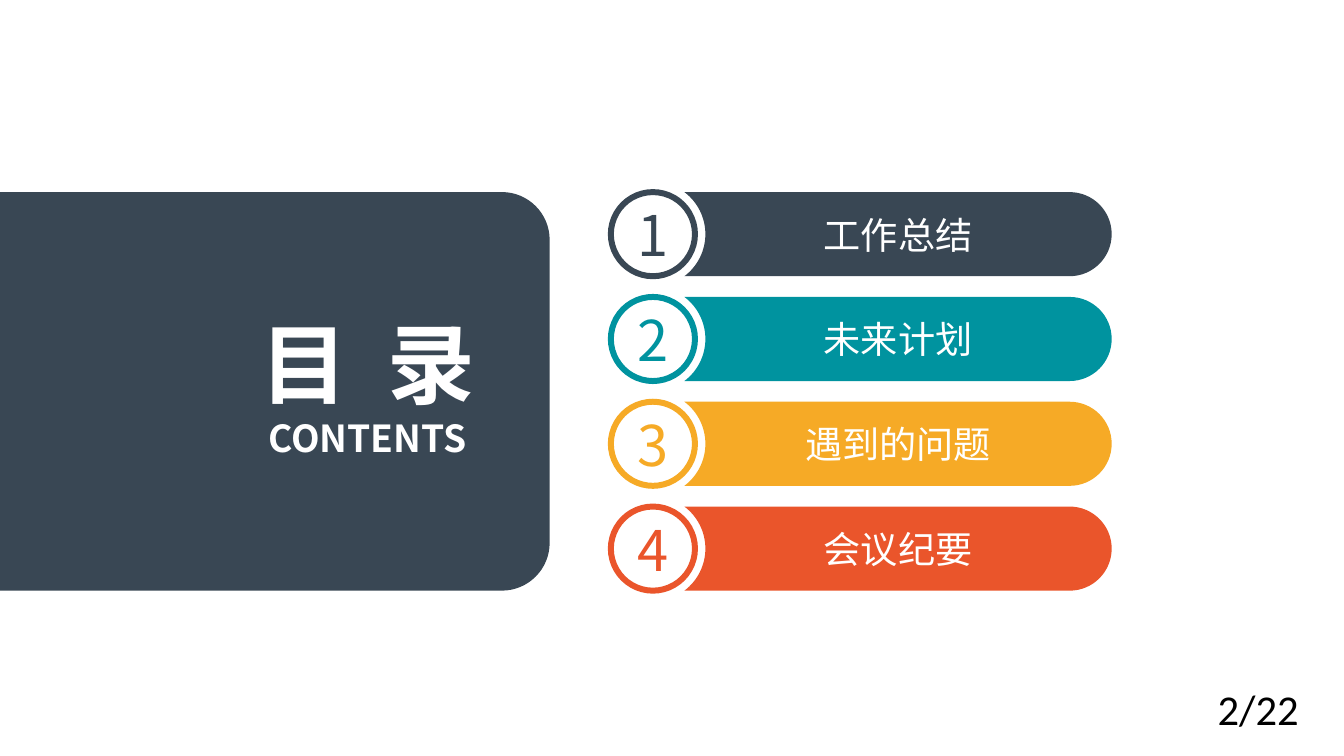
import math

from lxml import etree
from pptx import Presentation
from pptx.dml.color import RGBColor
from pptx.enum.shapes import MSO_SHAPE
from pptx.enum.text import MSO_ANCHOR, PP_ALIGN
from pptx.oxml.ns import qn
from pptx.util import Inches, Pt

OVAL = MSO_SHAPE.OVAL
TOP, MIDDLE = MSO_ANCHOR.TOP, MSO_ANCHOR.MIDDLE
LEFT, CENTER = PP_ALIGN.LEFT, PP_ALIGN.CENTER

WHITE = RGBColor(0xFF, 0xFF, 0xFF)
BLACK = RGBColor(0x00, 0x00, 0x00)
SLATE = RGBColor(0x39, 0x47, 0x54)
TEAL = RGBColor(0x00, 0x93, 0x9F)
AMBER = RGBColor(0xF6, 0xAA, 0x26)
ORANGE = RGBColor(0xEA, 0x55, 0x2B)

CHINESE_FONT = "Noto Sans CJK SC"
CONTENTS = [
    ("工作总结", SLATE),
    ("未来计划", TEAL),
    ("遇到的问题", AMBER),
    ("会议纪要", ORANGE),
]


def write_text(shape, text, size, color=WHITE, font=CHINESE_FONT, bold=False,
               align=CENTER, anchor=MIDDLE, margins=(0, 0), spacing=0):
    frame = shape.text_frame
    frame.word_wrap = True
    frame.vertical_anchor = anchor
    frame.margin_left = frame.margin_right = Inches(margins[0])
    frame.margin_top = frame.margin_bottom = Inches(margins[1])
    paragraph = frame.paragraphs[0]
    paragraph.alignment = align
    run = paragraph.add_run()
    run.text = text
    run.font.size = Pt(size)
    run.font.bold = bold
    run.font.name = font
    run.font.color.rgb = color
    properties = run._r.get_or_add_rPr()
    etree.SubElement(properties, qn("a:ea")).set("typeface", font)
    if spacing:
        properties.set("spc", str(round(spacing * 100)))


def add_text(slide, box, text, size, **text_format):
    shape = slide.shapes.add_textbox(*map(Inches, box))
    write_text(shape, text, size, **text_format)


def arc(center_x, center_y, radius, start, end):
    start, end = math.radians(start), math.radians(end)
    reach = 4 / 3 * math.tan((end - start) / 4)

    def point(angle, pull):
        return (center_x + radius * (math.cos(angle) - pull * math.sin(angle)),
                center_y + radius * (math.sin(angle) + pull * math.cos(angle)))

    return [point(start, reach), point(end, -reach), point(end, 0)]


def add_outline(slide, start, segments, color):
    corners = [(Inches(x), Inches(y)) for x, y in (segment[-1] for segment in segments)]
    builder = slide.shapes.build_freeform(Inches(start[0]), Inches(start[1]))
    builder.add_line_segments(corners, close=True)
    shape = builder.convert_to_shape()
    lines = list(shape._element.iter(qn("a:lnTo")))
    for line, segment in zip(lines, segments):
        if len(segment) == 3:
            line.tag = qn("a:cubicBezTo")
            for position, (x, y) in enumerate(segment[:2]):
                control = etree.Element(qn("a:pt"))
                control.set("x", str(Inches(x) - shape.left))
                control.set("y", str(Inches(y) - shape.top))
                line.insert(position, control)
    shape.shadow.inherit = False
    shape.fill.solid()
    shape.fill.fore_color.rgb = color
    shape.line.fill.background()
    return shape


def add_title_panel(slide, left, top, width, height):
    radius = 0.5
    right, bottom = left + width, top + height
    segments = [
        [(right - radius, top)],
        arc(right - radius, top + radius, radius, -90, 0),
        [(right, bottom - radius)],
        arc(right - radius, bottom - radius, radius, 0, 90),
        [(left, bottom)],
    ]
    add_outline(slide, (left, top), segments, SLATE)
    add_text(slide, (left + 2.28, top + 1.23, 3.14, 1.11), "目 录", 66,
             bold=True, spacing=7.4)
    add_text(slide, (left + 2.29, top + 2.34, 3.11, 0.47), "CONTENTS", 28,
             bold=True, anchor=TOP)


def add_contents_item(slide, left, top, width, height, number, title, color):
    radius = height / 2
    circle_x, middle, cap_x = left + radius, top + radius, left + width - radius
    notch_radius = radius * 1.25
    notch_angle = math.degrees(math.asin(radius / notch_radius))
    bar_left = circle_x + math.sqrt(notch_radius ** 2 - radius ** 2)
    segments = [
        [(cap_x, top)],
        arc(cap_x, middle, radius, -90, 0),
        arc(cap_x, middle, radius, 0, 90),
        [(bar_left, top + height)],
        arc(circle_x, middle, notch_radius, notch_angle, 0),
        arc(circle_x, middle, notch_radius, 0, -notch_angle),
    ]
    bar = add_outline(slide, (bar_left, top), segments, color)
    write_text(bar, title, 28)

    circle = slide.shapes.add_shape(
        OVAL, Inches(left), Inches(top), Inches(height), Inches(height))
    circle.shadow.inherit = False
    circle.fill.solid()
    circle.fill.fore_color.rgb = WHITE
    circle.line.color.rgb = color
    circle.line.width = Pt(4.5)
    write_text(circle, str(number), 42.2, color=color)


def add_contents_list(slide, left, top, width, height):
    item_height = 0.88
    pitch = (height - item_height) / (len(CONTENTS) - 1)
    for index, (title, color) in enumerate(CONTENTS):
        add_contents_item(slide, left, top + index * pitch, width, item_height,
                          index + 1, title, color)


def add_page_number(slide, left, top, width, height):
    add_text(slide, (left, top, width, height), "2/22", 32, color=BLACK,
             font="Calibri", align=LEFT, anchor=TOP, margins=(0.1, 0.05))


def main():
    presentation = Presentation()
    presentation.slide_width = Inches(14.06)
    presentation.slide_height = Inches(7.91)
    slide = presentation.slides.add_slide(presentation.slide_layouts[6])
    add_title_panel(slide, 0, 2.01, 5.75, 4.17)
    add_contents_list(slide, 6.39, 2.01, 5.24, 4.17)
    add_page_number(slide, 12.64, 7.1, 1.42, 0.61)
    presentation.save("out.pptx")


if __name__ == "__main__":
    main()
